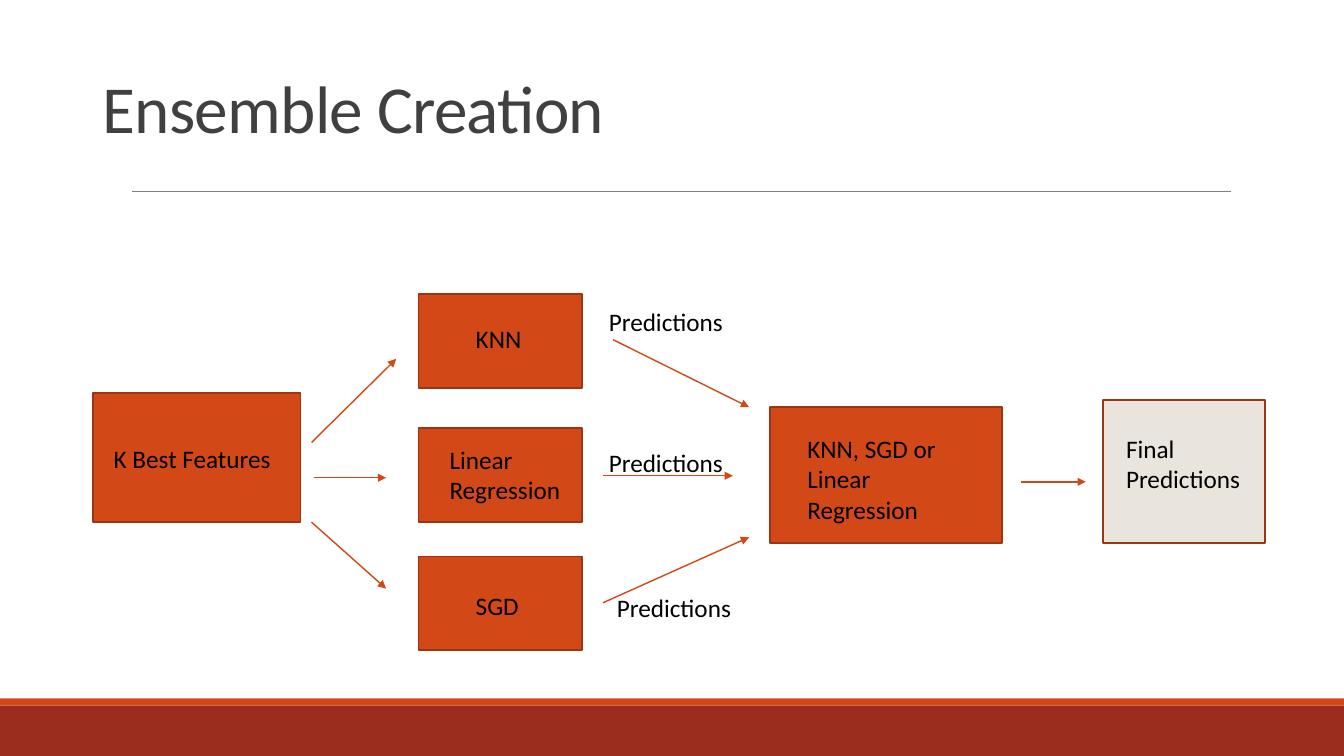
from pptx import Presentation
from pptx.dml.color import RGBColor
from pptx.enum.shapes import MSO_CONNECTOR, MSO_SHAPE
from pptx.enum.text import MSO_ANCHOR
from pptx.oxml.ns import qn
from pptx.util import Inches, Pt
from lxml.etree import SubElement

RUST, EDGE, SAND = "D34817", "9C3511", "E9E5DC"


def paint(target, color):
    """Give a fill, line or font a hex colour."""
    if hasattr(target, "solid"):
        target.solid()
        target.fore_color.rgb = RGBColor.from_string(color)
    else:
        getattr(target, "color", target).rgb = RGBColor.from_string(color)


def add_rect(slide, box, color, edge=None):
    """Draw a flat rectangle."""
    rect = slide.shapes.add_shape(MSO_SHAPE.RECTANGLE, *map(Inches, box))
    rect.shadow.inherit = False
    paint(rect.fill, color)
    if edge:
        paint(rect.line, edge)
        rect.line.width = Pt(1.25)
    else:
        rect.line.fill.background()


def add_text(slide, box, text, size=18, color="000000"):
    """Write wrapped text in Calibri and return its box."""
    label = slide.shapes.add_textbox(*map(Inches, box))
    frame = label.text_frame
    frame.word_wrap = True
    frame.text = text
    font = frame.paragraphs[0].runs[0].font
    font.name, font.size = "Calibri", Pt(size)
    paint(font, color)
    return label


def add_line(slide, ends, color, width, arrow=False):
    """Draw a straight line, with an arrowhead if asked."""
    line = slide.shapes.add_connector(MSO_CONNECTOR.STRAIGHT, *map(Inches, ends))
    paint(line.line, color)
    line.line.width = Pt(width)
    if arrow:
        SubElement(line.line._get_or_add_ln(), qn("a:tailEnd"), type="triangle")
    SubElement(line._element.spPr, qn("a:effectLst"))


def add_head(slide, box):
    """Place the title and the rule below it."""
    left, top, width, height = box
    label = add_text(slide, box, "Ensemble Creation", 48, "404040")
    label.text_frame.vertical_anchor = MSO_ANCHOR.BOTTOM
    para = label.text_frame.paragraphs[0]
    para.line_spacing = 0.85
    para.runs[0].font._element.set("spc", "-50")
    rule = top + height + 0.39
    add_line(slide, (left + 0.39, rule, left + width - 0.21, rule), "808080", 0.5)


def add_foot(slide, box):
    """Place the footer band with its thin top stripe."""
    left, top, width, height = box
    add_rect(slide, (left, top + 0.07, width, height - 0.07), "9B2D1F")
    add_rect(slide, (left, top, width, 0.07), RUST)


def add_flow(slide, box):
    """Place the steps, arrows and labels of the ensemble."""
    left, top = box[:2]
    steps = [
        ("K Best Features", (0, 0.98, 2.06, 1.28), (0.11, 0.45, 1.87), RUST),
        ("KNN", (3.23, 0, 1.62, 0.93), (0.47, 0.24, 1.1), RUST),
        ("Linear Regression", (3.23, 1.33, 1.62, 0.93), (0.21, 0.11, 1.62), RUST),
        ("SGD", (3.23, 2.6, 1.62, 0.93), (0.47, 0.29, 1.02), RUST),
        ("KNN, SGD or Linear Regression", (6.72, 1.12, 2.3, 1.35),
         (0.27, 0.21, 1.66), RUST),
        ("Final Predictions", (10.02, 1.05, 1.61, 1.42), (0.13, 0.28, 1.36), SAND),
    ]
    arrows = [
        (2.17, 1.47, 3.01, 0.64), (2.19, 1.82, 2.91, 1.82), (2.17, 2.26, 2.91, 2.92),
        (5.16, 0.45, 6.51, 1.12), (5.06, 1.8, 6.35, 1.8), (5.06, 3.06, 6.51, 2.41),
        (9.21, 1.86, 9.85, 1.86),
    ]
    for text, (x, y, wide, high), (dx, dy, span), color in steps:
        add_rect(slide, (left + x, top + y, wide, high), color, EDGE)
        add_text(slide, (left + x + dx, top + y + dy, span, 0.4), text)
    for x1, y1, x2, y2 in arrows:
        add_line(slide, (left + x1, top + y1, left + x2, top + y2), RUST, 1, True)
    for x, y in [(5.02, 0.07), (5.02, 1.47), (5.1, 2.91)]:
        add_text(slide, (left + x, top + y, 1.46, 0.4), "Predictions")


def main():
    """Build and save the slide."""
    deck = Presentation()
    deck.slide_width, deck.slide_height = Inches(13.33), Inches(7.5)
    slide = deck.slides.add_slide(deck.slide_layouts[6])
    add_foot(slide, (0, 6.93, 13.33, 0.57))
    add_head(slide, (0.92, 0.06, 11.5, 1.45))
    add_flow(slide, (0.92, 2.92, 11.63, 3.53))
    deck.save("out.pptx")


main()
